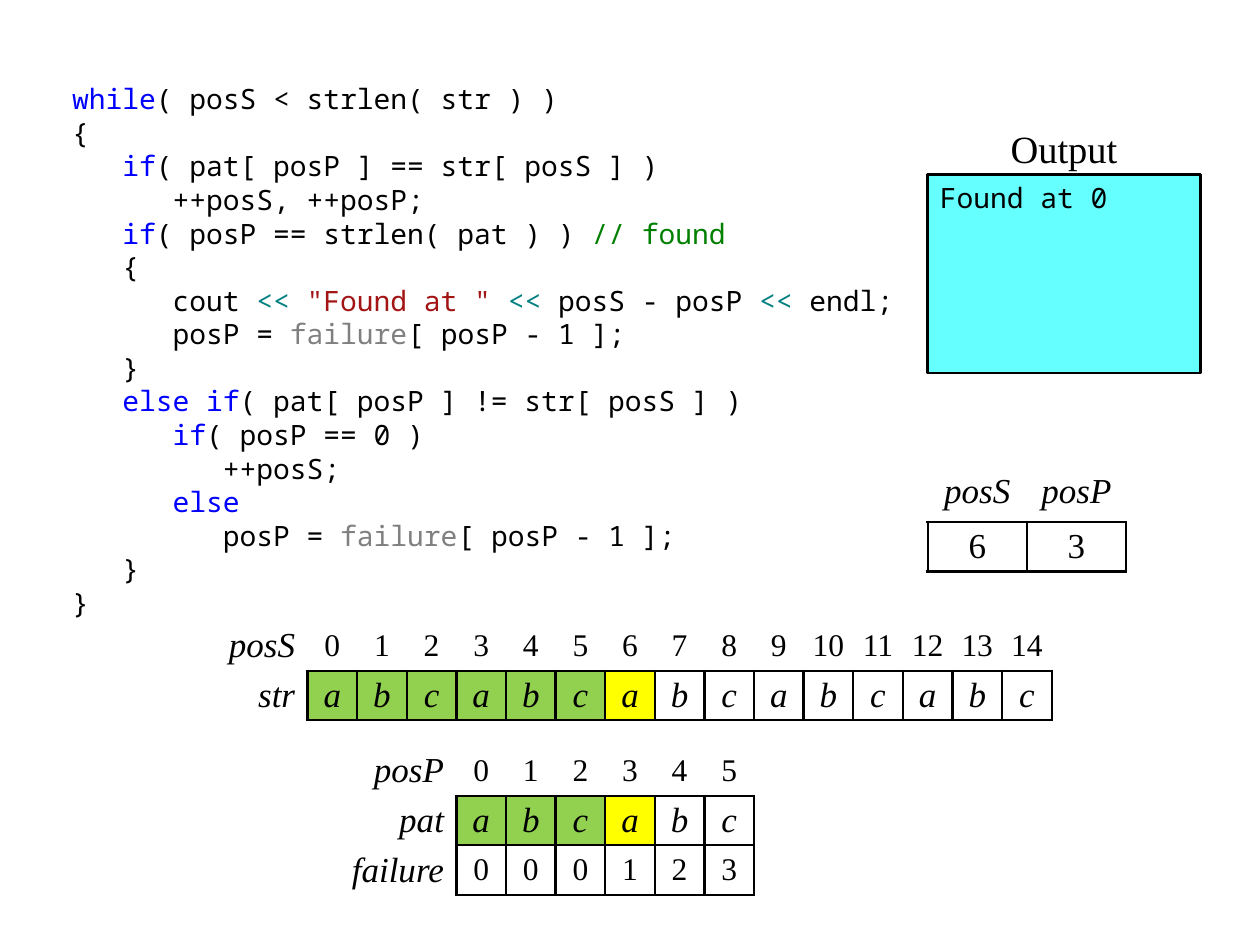
import pptx
import pptx.dml.color
import pptx.enum.shapes
import pptx.enum.text
import pptx.oxml.ns
import pptx.util
from lxml import etree
from pptx.util import Cm, Pt

RGBColor = pptx.dml.color.RGBColor
BLACK = RGBColor(0x00, 0x00, 0x00)
WHITE = RGBColor(0xFF, 0xFF, 0xFF)
KEYWORD = RGBColor(0x00, 0x00, 0xFF)
COMMENT = RGBColor(0x00, 0x80, 0x00)
OPERATOR = RGBColor(0x00, 0x80, 0x80)
STRING = RGBColor(0xA3, 0x15, 0x15)
ARRAY = RGBColor(0x80, 0x80, 0x80)
MATCHED = RGBColor(0x92, 0xD0, 0x50)
CURRENT = RGBColor(0xFF, 0xFF, 0x00)
CONSOLE = RGBColor(0x66, 0xFF, 0xFF)
MONO = "Noto Sans Mono"
SERIF = "Times New Roman"
NO_STYLE_NO_GRID = "{2D5ABB26-0587-4C30-8999-92F81FD0307C}"
ALIGN = pptx.enum.text.PP_ALIGN
ANCHOR = pptx.enum.text.MSO_ANCHOR
qn = pptx.oxml.ns.qn


def style(font, name, size, color=BLACK, italic=False):
    font.name, font.size, font.italic = name, Pt(size), italic
    font.color.rgb = color


def add_grid(left, top, widths, rows, labelled, margin, digit_size=18, matched=0):
    """Add a table with a heading row, boxed values and, if labelled, a column of row names.

    The first matched values of the second row are green and the next one is yellow.
    """
    frame = slide.shapes.add_table(len(rows), len(widths), left, top,
                                   sum(widths), Cm(1) * len(rows))
    grid = frame.table
    grid.first_row = grid.horz_banding = False
    frame._element.find(".//" + qn("a:tableStyleId")).text = NO_STYLE_NO_GRID
    for column, width in zip(grid.columns, widths):
        column.width = width
    for r, row in enumerate(rows):
        grid.rows[r].height = Cm(1)
        for c, value in enumerate(row):
            cell = grid.cell(r, c)
            is_label = labelled and c == 0
            cell.margin_left = cell.margin_right = Cm(0.25) if is_label else margin
            cell.margin_top = cell.margin_bottom = 0
            cell.vertical_anchor = ANCHOR.MIDDLE if labelled or r else ANCHOR.TOP
            paragraph = cell.text_frame.paragraphs[0]
            paragraph.text = value
            paragraph.alignment = ALIGN.RIGHT if is_label else ALIGN.CENTER
            is_word = value.isalpha()
            style(paragraph.runs[0].font, SERIF, 20 if is_word else digit_size, italic=is_word)
            if r == 0 or is_label:
                cell.fill.background()
                continue
            for side in ("lnL", "lnR", "lnT", "lnB"):
                line = etree.SubElement(cell._tc.get_or_add_tcPr(), qn("a:" + side),
                                        w=str(Pt(1.5)))
                fill = etree.SubElement(line, qn("a:solidFill"))
                etree.SubElement(fill, qn("a:srgbClr"), val=str(BLACK))
            cell.fill.solid()
            cell.fill.fore_color.rgb = WHITE
            if matched and r == 1:
                if c <= matched:
                    cell.fill.fore_color.rgb = MATCHED
                elif c == matched + 1:
                    cell.fill.fore_color.rgb = CURRENT


presentation = pptx.Presentation()
presentation.slide_width, presentation.slide_height = Cm(25.4), Cm(19.05)
slide = presentation.slides.add_slide(presentation.slide_layouts[1])
title = slide.shapes.title._element
title.getparent().remove(title)

# Search loop; plain strings are black, pairs carry their own colour
code_lines = [
    [("while", KEYWORD), "( posS < strlen( str ) )"],
    ["{"],
    ["   ", ("if", KEYWORD), "( pat[ posP ] == str[ posS ] )"],
    ["      ++posS, ++posP;"],
    ["   ", ("if", KEYWORD), "( posP == strlen( pat ) ) ", ("// found", COMMENT)],
    ["   {"],
    ["      cout ", ("<< ", OPERATOR), ('"Found at " ', STRING), ("<< ", OPERATOR),
     "posS - posP ", ("<< ", OPERATOR), "endl;"],
    ["      posP = ", ("failure", ARRAY), "[ posP - 1 ];"],
    ["   }"],
    ["   ", ("else if", KEYWORD), "( pat[ posP ] != str[ posS ] )"],
    ["      ", ("if", KEYWORD), "( posP == 0 )"],
    ["         ++posS;"],
    ["      ", ("else", KEYWORD)],
    ["         posP = ", ("failure", ARRAY), "[ posP - 1 ];"],
    ["   }"],
    ["}"],
]
code = slide.placeholders[1]
code.left, code.top, code.width, code.height = Cm(1.2), Cm(1.52), Cm(17), Cm(11)
code_text = code.text_frame
code_text.auto_size = pptx.enum.text.MSO_AUTO_SIZE.NONE
code_text.margin_right = Cm(0.1)
code_text.text = "\n".join("" for _ in code_lines)
for paragraph, pieces in zip(code_text.paragraphs, code_lines):
    properties = paragraph._p.get_or_add_pPr()
    properties.set("marL", "0")
    properties.set("indent", "0")
    etree.SubElement(properties, qn("a:buNone"))
    paragraph.space_before = Pt(0)
    paragraph.line_spacing = Pt(19.2)
    for piece in pieces:
        text, color = (piece, BLACK) if isinstance(piece, str) else piece
        run = paragraph.add_run()
        run.text = text
        style(run.font, MONO, 16, color)

# String, current positions, and pattern with its failure function
add_grid(Cm(4.2), Cm(12.52), [Cm(2)] + [Cm(1)] * 15,
         [["posS"] + [str(i) for i in range(15)], ["str"] + list("abc" * 5)],
         labelled=True, margin=Cm(0.1), matched=6)
add_grid(Cm(18.7), Cm(9.52), [Cm(2)] * 2, [["posS", "posP"], ["6", "3"]],
         labelled=False, margin=Cm(0), digit_size=20)
add_grid(Cm(6.7), Cm(15.04), [Cm(2.5)] + [Cm(1)] * 6,
         [["posP"] + list("012345"), ["pat"] + list("abcabc"), ["failure"] + list("000123")],
         labelled=True, margin=Cm(0.25), matched=3)

# Program output
console = slide.shapes.add_shape(pptx.enum.shapes.MSO_SHAPE.RECTANGLE,
                                 Cm(18.7), Cm(3.52), Cm(5.5), Cm(4))
console.shadow.inherit = False
console.fill.solid()
console.fill.fore_color.rgb = CONSOLE
console.line.color.rgb = BLACK
console.line.width = Pt(1.5)
console.text_frame.text = "Found at 0"
console.text_frame.vertical_anchor = ANCHOR.TOP
console.text_frame.paragraphs[0].alignment = ALIGN.LEFT
style(console.text_frame.paragraphs[0].runs[0].font, MONO, 16)

heading = slide.shapes.add_textbox(Cm(19.7), Cm(2.52), Cm(3.5), Cm(1))
heading.text_frame.word_wrap = True
heading.text_frame.margin_top = 0
heading.text_frame.text = "Output"
heading.text_frame.paragraphs[0].alignment = ALIGN.CENTER
style(heading.text_frame.paragraphs[0].runs[0].font, SERIF, 22)

presentation.save("out.pptx")
